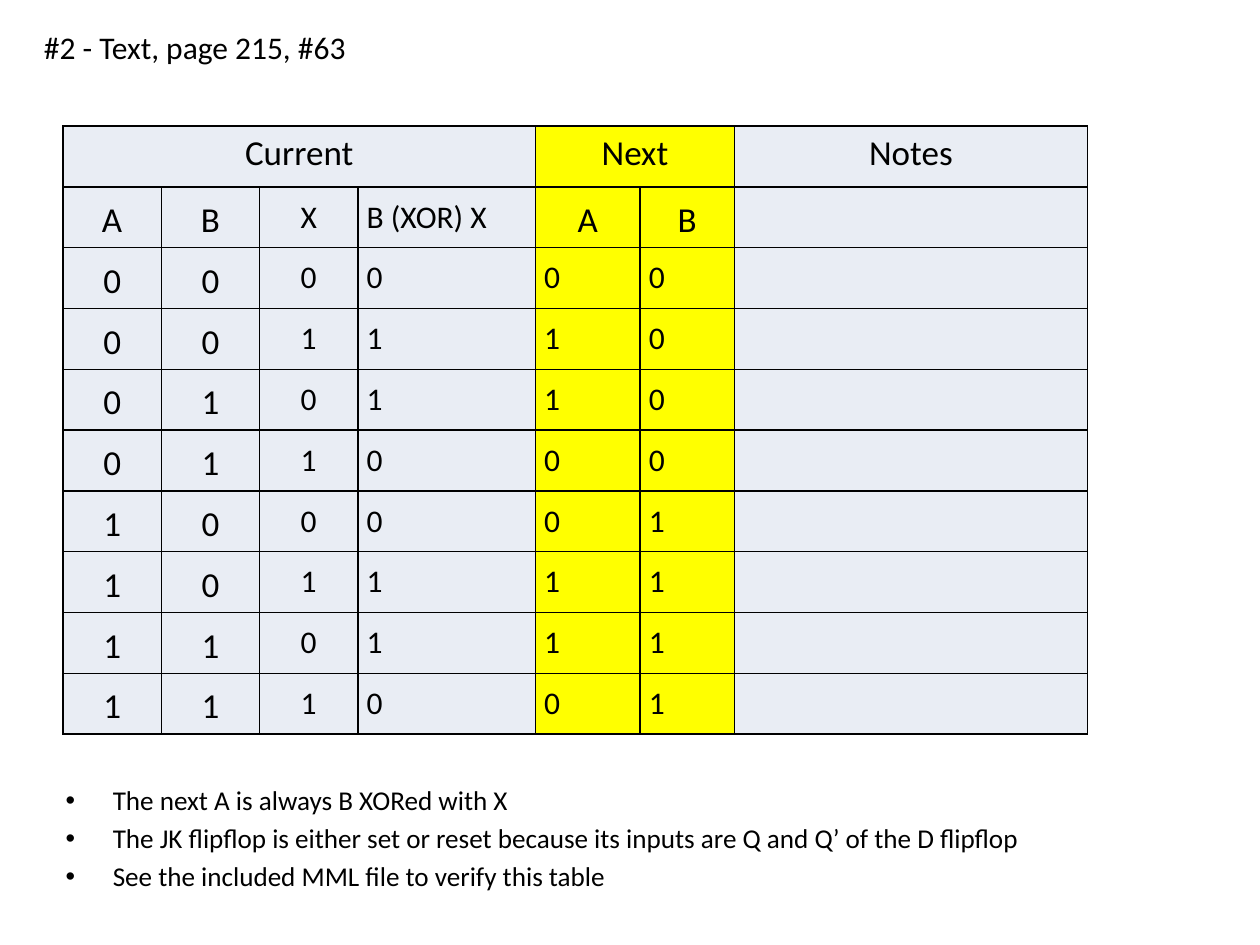
from dataclasses import dataclass
from itertools import product

from lxml import etree
from pptx import Presentation
from pptx import util as u
from pptx.dml.color import RGBColor
from pptx.enum import text
from pptx.oxml import ns

FONT = "Calibri"
BLACK, PALE, YELLOW = "000000", "E9EDF4", "FFFF00"
LEFT, CENTER = text.PP_ALIGN.LEFT, text.PP_ALIGN.CENTER
ROW_HEIGHT = 0.483


@dataclass
class Column:
    label: str
    width: float
    fill: str = PALE
    large_label: bool = False
    large_digits: bool = False
    label_align: text.PP_ALIGN = CENTER
    digit_align: text.PP_ALIGN = LEFT


@dataclass
class Group:
    label: str
    first: int
    last: int


COLUMNS = [
    Column("A", 0.78, large_label=True, large_digits=True, digit_align=CENTER),
    Column("B", 0.78, large_label=True, large_digits=True, digit_align=CENTER),
    Column("X", 0.78, digit_align=CENTER),
    Column("B (XOR) X", 1.41, label_align=LEFT),
    Column("A", 0.83, YELLOW, large_label=True),
    Column("B", 0.75, YELLOW, large_label=True),
    Column("", 2.8),
]
GROUPS = [Group("Current", 0, 3), Group("Next", 4, 5), Group("Notes", 6, 6)]
STATES = [(a, b, x, b ^ x, b ^ x, a, "") for a, b, x in product((0, 1), repeat=3)]
REMARKS = [
    "The next A is always B XORed with X",
    "The JK flipflop is either set or reset because its inputs are Q and Q’ of the D flipflop",
    "See the included MML file to verify this table",
]


def color(value: str) -> RGBColor:
    return RGBColor.from_string(value)


def format_runs(para, size: float) -> None:
    for span in para.runs:
        span.font.name = FONT
        span.font.size = u.Pt(size)
        span.font.bold = False
        span.font.color.rgb = color(BLACK)


def frame_cell(cell, fill: str) -> None:
    """Give the cell thin black borders and a plain fill."""
    properties = cell._tc.get_or_add_tcPr()
    for side in ("lnL", "lnR", "lnT", "lnB"):
        line = etree.SubElement(properties, ns.qn(f"a:{side}"), w=str(u.Pt(1)))
        solid = etree.SubElement(line, ns.qn("a:solidFill"))
        etree.SubElement(solid, ns.qn("a:srgbClr"), val=BLACK)
    cell.fill.solid()
    cell.fill.fore_color.rgb = color(fill)


def write_cell(cell, words: str, large: bool, align: text.PP_ALIGN,
               anchor: text.MSO_ANCHOR = text.MSO_ANCHOR.MIDDLE) -> None:
    cell.margin_left = cell.margin_right = u.Inches(0.07)
    cell.margin_top = cell.margin_bottom = 0
    cell.vertical_anchor = anchor
    cell.text_frame.text = words
    para = cell.text_frame.paragraphs[0]
    para.alignment = align
    if large:
        para.line_spacing = 1.15
    format_runs(para, 20 if large else 18)


def add_heading(slide) -> None:
    box = slide.shapes.add_textbox(u.Inches(0.25), u.Inches(0.17), u.Inches(2.69), u.Inches(0.4))
    box.text_frame.word_wrap = False
    box.text_frame.auto_size = text.MSO_AUTO_SIZE.SHAPE_TO_FIT_TEXT
    box.text_frame.text = "#2 - Text, page 215, #63"
    format_runs(box.text_frame.paragraphs[0], 18)


def add_state_table(slide) -> None:
    row_count = len(STATES) + 2
    table = slide.shapes.add_table(
        row_count, len(COLUMNS), u.Inches(0.5), u.Inches(1),
        u.Inches(sum(column.width for column in COLUMNS)),
        u.Inches(ROW_HEIGHT * row_count)).table
    table.first_row = table.horz_banding = False
    for row in table.rows:
        row.height = u.Inches(ROW_HEIGHT)
    for index, column in enumerate(COLUMNS):
        table.columns[index].width = u.Inches(column.width)
        for row_index in range(row_count):
            frame_cell(table.cell(row_index, index), column.fill)
        if column.label:
            write_cell(table.cell(1, index), column.label, column.large_label, column.label_align)
            for row_index, state in enumerate(STATES, start=2):
                write_cell(table.cell(row_index, index), str(state[index]),
                           column.large_digits, column.digit_align)
    for group in GROUPS:
        cell = table.cell(0, group.first)
        if group.last > group.first:
            cell.merge(table.cell(0, group.last))
        write_cell(cell, group.label, True, CENTER, text.MSO_ANCHOR.TOP)


def fill_remarks(body) -> None:
    body.left, body.top = u.Inches(0.42), u.Inches(6.17)
    body.width, body.height = u.Inches(9), u.Inches(0.87)
    body.text_frame.text = "\n".join(REMARKS)
    body.text_frame.auto_size = text.MSO_AUTO_SIZE.NONE
    for para in body.text_frame.paragraphs:
        format_runs(para, 15.5)


def main() -> None:
    deck = Presentation()
    deck.slide_width, deck.slide_height = u.Inches(10), u.Inches(7.5)
    slide = deck.slides.add_slide(deck.slide_layouts.get_by_name("Title and Content"))
    title = slide.shapes.title.element
    title.getparent().remove(title)
    add_heading(slide)
    add_state_table(slide)
    fill_remarks(slide.placeholders[1])
    deck.save("out.pptx")


if __name__ == "__main__":
    main()
